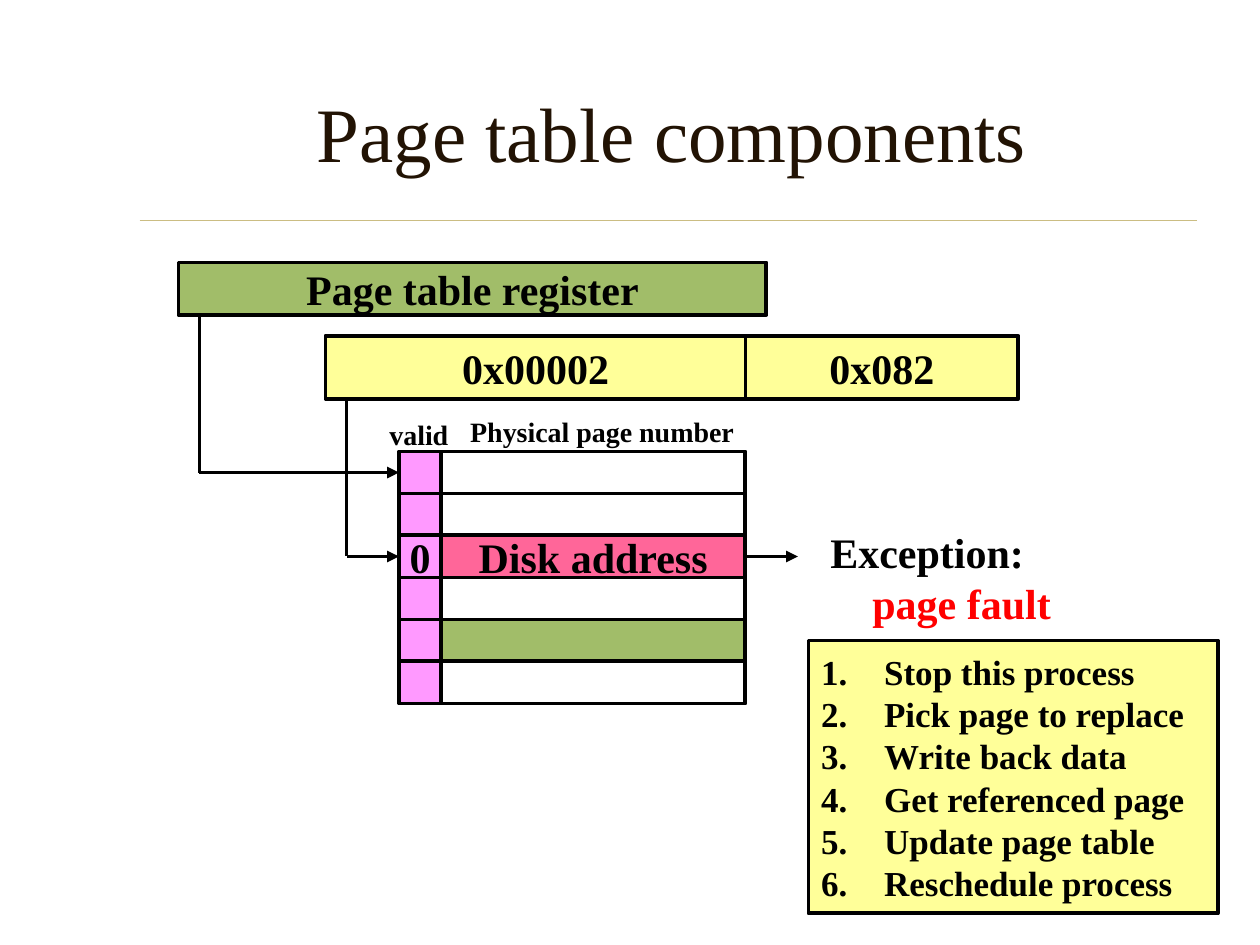
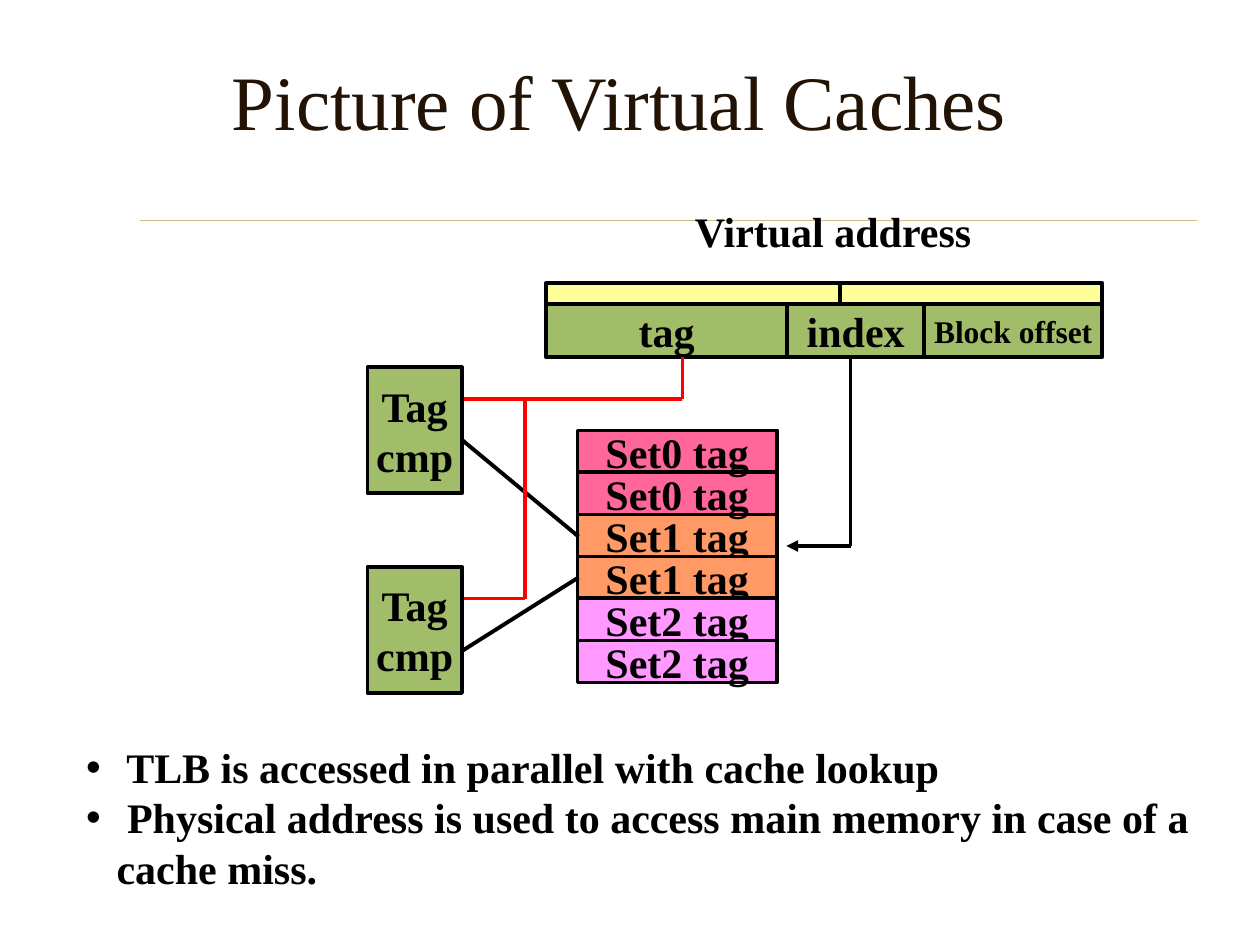
from pptx import Presentation, util as u
from pptx.dml.color import RGBColor
from pptx.enum import shapes, text
from pptx.oxml import parse_xml
from pptx.oxml.ns import nsdecls
from lxml import etree

PX = 7620  # EMU per px, 120 px to the inch
FACE = "Times New Roman"
BLACK = RGBColor(0, 0, 0)
BROWN = RGBColor(0x22, 0x13, 0x04)
SAND = RGBColor(0xCB, 0xBD, 0x83)
GREEN = RGBColor(0xA1, 0xBD, 0x69)
YELLOW = RGBColor(0xFF, 0xFF, 0x99)
PINK = RGBColor(0xFF, 0x66, 0x99)
VIOLET = RGBColor(0xFF, 0x99, 0xFF)
ORANGE = RGBColor(0xFF, 0x99, 0x66)
RED = RGBColor(0xFF, 0, 0)

MIDDLE = text.MSO_ANCHOR.MIDDLE
CENTER = text.PP_ALIGN.CENTER
FIXED = text.MSO_AUTO_SIZE.NONE
ROW = 40
NUMBER = '<a:buAutoNum %s type="arabicPeriod"/>'
DOT = '<a:buChar %s char="•"/>'


def apply(item, **values):
    for name, value in values.items():
        setattr(item, name, value)


def place(shape, box):
    names = ("left", "top", "width", "height")
    apply(shape, **{n: v * PX for n, v in zip(names, box)})


def write(frame, lines, size=24, color=BLACK, bold=True, align=None):
    """Fill a text frame with one paragraph for each line."""
    for i, line in enumerate(lines):
        para = frame.paragraphs[0] if i == 0 else frame.add_paragraph()
        para.alignment = align
        run = para.add_run()
        run.text = line
        apply(run.font, name=FACE, size=u.Pt(size), bold=bold)
        run.font.color.rgb = color


def outline(shape, fill):
    if fill is None:
        shape.fill.background()
    else:
        shape.fill.solid()
        shape.fill.fore_color.rgb = fill
    shape.line.color.rgb = BLACK
    shape.line.width = u.Pt(2.25)


def block(slide, box, fill=None, lines=(), size=24):
    shape = slide.shapes.add_shape(shapes.MSO_SHAPE.RECTANGLE,
                                   *(v * PX for v in box))
    shape.shadow.inherit = False
    outline(shape, fill)
    apply(shape.text_frame, word_wrap=False, vertical_anchor=MIDDLE)
    write(shape.text_frame, lines, size, align=CENTER)


def label(slide, box, lines, size=24):
    frame = slide.shapes.add_textbox(*(v * PX for v in box)).text_frame
    apply(frame, word_wrap=False,
          auto_size=text.MSO_AUTO_SIZE.SHAPE_TO_FIT_TEXT)
    write(frame, lines, size)
    return frame


def route(slide, *points, color=BLACK, width=2.25, arrow=False):
    """Join the points with straight lines; the last may have an arrowhead."""
    for start, end in zip(points, points[1:]):
        line = slide.shapes.add_connector(
            shapes.MSO_CONNECTOR.STRAIGHT, *(v * PX for v in start + end))
        line.line.color.rgb = color
        line.line.width = u.Pt(width)
        props = line._element.spPr
        props.append(parse_xml("<a:effectLst %s/>" % nsdecls("a")))
    if arrow:
        tail = etree.SubElement(line.line._get_or_add_ln(),
                                parse_xml("<a:tailEnd %s/>" % nsdecls("a")).tag)
        tail.set("type", "triangle")


def listing(slide, box, lines, mark, hang, size=24, anchor=MIDDLE):
    """Turn the body placeholder into a bulleted or numbered list."""
    body = slide.placeholders[1]
    place(body, box)
    frame = body.text_frame
    apply(frame, auto_size=FIXED, vertical_anchor=anchor, word_wrap=True)
    write(frame, lines, size)
    for para in frame.paragraphs:
        props = para._p.get_or_add_pPr()
        props.set("marL", str(hang * PX))
        props.set("indent", str(-hang * PX))
        props.append(parse_xml(mark % nsdecls("a")))
        para.space_before = u.Pt(0)
    return body


def start(deck, title, left, top):
    """Add a slide with its title and the rule below it."""
    slide = deck.slides.add_slide(deck.slide_layouts[1])
    route(slide, (133, 210), (1140, 210), color=SAND, width=0.25)
    head = slide.shapes.title
    place(head, (left, top, 1000, 150))
    apply(head.text_frame, auto_size=FIXED, vertical_anchor=MIDDLE)
    write(head.text_frame, [title], 44, BROWN, False, CENTER)
    return slide


def table_slide(deck):
    slide = start(deck, "Page table components", 140, 50)

    # Register and virtual address
    block(slide, (170, 250, 560, 50), GREEN, ["Page table register"])
    route(slide, (190, 300), (190, 450), (380, 450), arrow=True)
    block(slide, (310, 320, 400, 60), YELLOW, ["0x00002"])
    block(slide, (710, 320, 260, 60), YELLOW, ["0x082"])
    route(slide, (330, 380), (330, 530), (380, 530), arrow=True)

    # Page table
    fault, valid = 2, 4
    fills = {fault: PINK, valid: GREEN}
    for i in range(6):
        top = 430 + i * ROW
        flag, page = (["0"], ["Disk address"]) if i == fault else ((), ())
        block(slide, (380, top, 40, ROW), VIOLET, flag)
        block(slide, (420, top, 290, ROW), fills.get(i), page)
    label(slide, (359, 392, 80, 44), ["valid"], 16)
    label(slide, (436, 389, 275, 44), ["Physical page number"], 16)

    # Exception and its steps
    route(slide, (710, 530), (760, 530), arrow=True)
    note = label(slide, (779, 496, 234, 108), ["Exception:", "page fault"])
    second = note.paragraphs[1]
    second._p.get_or_add_pPr().set("marL", str(40 * PX))
    second.runs[0].font.color.rgb = RED
    steps = ["Stop this process", "Pick page to replace", "Write back data",
             "Get referenced page", "Update page table", "Reschedule process"]
    outline(listing(slide, (770, 610, 390, 260), steps, NUMBER, 60, 20), YELLOW)


def cache_slide(deck):
    slide = start(deck, "Picture of Virtual Caches", 90, 20)

    # Virtual address
    block(slide, (800, 270, 250, 50), YELLOW)
    block(slide, (520, 270, 280, 50), YELLOW)
    left = 520
    for name, width, size in (("tag", 230, 24), ("index", 130, 24),
                              ("Block offset", 170, 18)):
        block(slide, (left, 290, width, 50), GREEN, [name], size)
        left += width
    label(slide, (650, 190, 289, 60), ["Virtual address"])
    route(slide, (810, 340), (810, 520), (749, 520), arrow=True)

    # Cache sets, two rows each, stacked from the middle outwards
    tints = (PINK, ORANGE, VIOLET)
    for i in (2, 3, 1, 0, 4, 5):
        block(slide, (550, 410 + i * ROW, 190, ROW), tints[i // 2],
              [f"Set{i // 2} tag"])

    # Tag comparison
    route(slide, (650, 340), (650, 380), (440, 380), color=RED)
    route(slide, (551, 511), (440, 419))
    route(slide, (551, 550), (440, 620))
    route(slide, (500, 380), (500, 570), (440, 570), color=RED)
    for top in (540, 350):
        block(slide, (350, top, 90, 120), GREEN, ["Tag", "cmp"])

    notes = [" TLB is accessed in parallel with cache lookup",
             " Physical address is used to access main memory in case of a "
             "cache miss."]
    listing(slide, (70, 700, 1090, 156), notes, DOT, 29,
            anchor=text.MSO_ANCHOR.TOP)


def main():
    deck = Presentation()
    apply(deck, slide_width=1200 * PX, slide_height=900 * PX)
    table_slide(deck)
    cache_slide(deck)
    deck.save("out.pptx")


if __name__ == "__main__":
    main()
